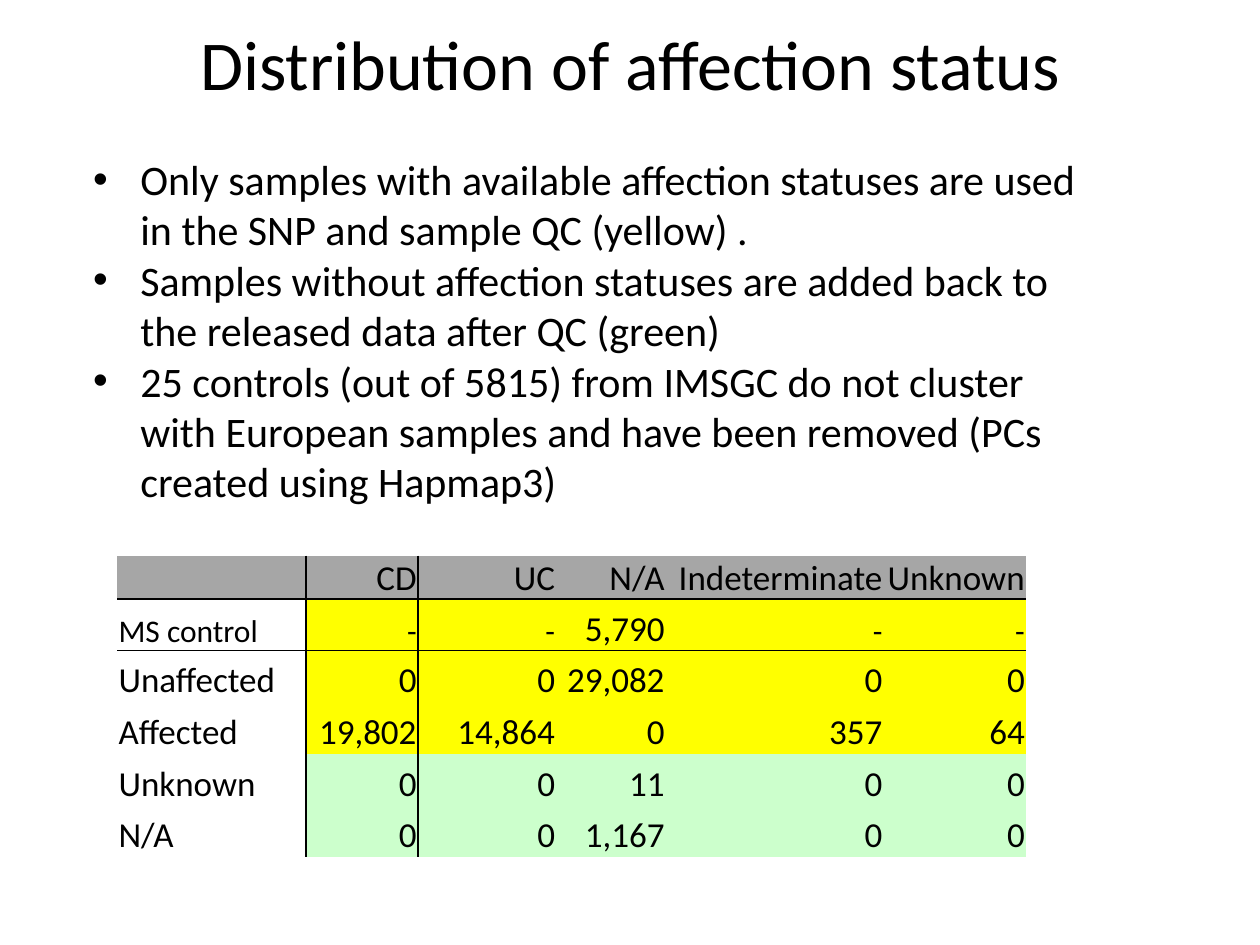
from dataclasses import dataclass

from lxml.etree import SubElement
from pptx import Presentation
from pptx.dml.color import RGBColor
from pptx.enum.text import MSO_ANCHOR, MSO_AUTO_SIZE, PP_ALIGN
from pptx.oxml.ns import qn
from pptx.util import Cm, Pt

BLACK, GREY, YELLOW, GREEN = "000000", "A6A6A6", "FFFF00", "CCFFCC"
NO_GRID = "{2D5ABB26-0587-4C30-8999-92F81FD0307C}"
WIDTHS = (3.81, 2.26, 2.79, 2.21, 4.39, 2.87)
HEAD, LINE = 0.81, 1.04
INDENT = Cm(0.95)


@dataclass
class Row:
    cells: tuple[str, ...]
    fill: str
    label_fill: str | None = None
    small: tuple[int, ...] = ()


ROWS = (
    Row(("", "CD", "UC", "N/A", "Indeterminate", "Unknown"), GREY, GREY),
    Row(("MS control", "-", "-", "5,790", "-", "-"), YELLOW, small=(0, 1, 2, 4, 5)),
    Row(("Unaffected", "0", "0", "29,082", "0", "0"), YELLOW),
    Row(("Affected", "19,802", "14,864", "0", "357", "64"), YELLOW),
    Row(("Unknown", "0", "0", "11", "0", "0"), GREEN),
    Row(("N/A", "0", "0", "1,167", "0", "0"), GREEN),
)
POINTS = (
    "Only samples with available affection statuses are used in the SNP and sample QC (yellow) .",
    "Samples without affection statuses are added back to the released data after QC (green)",
    "25 controls (out of 5815) from IMSGC do not cluster with European samples "
    "and have been removed (PCs created using Hapmap3)",
)


def color(code: str) -> RGBColor:
    return RGBColor.from_string(code)


def style(para, size: float, align=PP_ALIGN.LEFT) -> None:
    para.alignment = align
    para.font.name = "Calibri"
    para.font.size = Pt(size)
    para.font.color.rgb = color(BLACK)


def add_title(slide, text: str) -> None:
    box = slide.shapes.add_textbox(Cm(1.27), Cm(-0.33), Cm(22.86), Cm(3.18))
    frame = box.text_frame
    frame.word_wrap = True
    frame.vertical_anchor = MSO_ANCHOR.MIDDLE
    frame.text = text
    style(frame.paragraphs[0], 40, PP_ALIGN.CENTER)


def add_points(slide, points: tuple[str, ...]) -> None:
    box = slide.shapes.add_textbox(Cm(1.63), Cm(2.97), Cm(20.88), Cm(7.44))
    frame = box.text_frame
    frame.word_wrap = True
    frame.auto_size = MSO_AUTO_SIZE.SHAPE_TO_FIT_TEXT
    frame.text = "\n".join(points)
    for para in frame.paragraphs:
        props = para._p.get_or_add_pPr()
        props.set("marL", str(INDENT))
        props.set("indent", str(-INDENT))
        SubElement(props, qn("a:buFont"), typeface="Arial")
        SubElement(props, qn("a:buChar"), char="•")
        style(para, 24)


def add_edge(cell, side: str) -> None:
    """Rule one side of a cell; call before filling it, as edges come first."""
    props = cell._tc.get_or_add_tcPr()
    edge = SubElement(props, qn(f"a:ln{side}"), w=str(Pt(1)))
    fill = SubElement(edge, qn("a:solidFill"))
    SubElement(fill, qn("a:srgbClr"), val=BLACK)


def fill_cell(cell, text: str, fill: str | None, size: float, align) -> None:
    cell.margin_left = cell.margin_right = cell.margin_top = Cm(0.03)
    cell.margin_bottom = 0
    cell.vertical_anchor = MSO_ANCHOR.BOTTOM
    cell.text = text
    style(cell.text_frame.paragraphs[0], size, align)
    if fill:
        cell.fill.solid()
        cell.fill.fore_color.rgb = color(fill)
    else:
        cell.fill.background()


def add_counts(slide, rows: tuple[Row, ...]) -> None:
    high = HEAD + LINE * (len(rows) - 1)
    frame = slide.shapes.add_table(
        len(rows), len(WIDTHS), Cm(2.36), Cm(11.2), Cm(sum(WIDTHS)), Cm(high)
    )
    table = frame.table
    table.first_row = table.horz_banding = False
    table._tbl.tblPr.find(qn("a:tableStyleId")).text = NO_GRID
    for col, width in zip(table.columns, WIDTHS):
        col.width = Cm(width)
    for r, row in enumerate(rows):
        table.rows[r].height = Cm(LINE if r else HEAD)
        for c, text in enumerate(row.cells):
            cell = table.cell(r, c)
            if c < 2:
                add_edge(cell, "R")
            if r < 2:
                add_edge(cell, "B")
            fill = row.fill if c else row.label_fill
            size = 18 if c in row.small else 20
            fill_cell(cell, text, fill, size, PP_ALIGN.RIGHT if c else PP_ALIGN.LEFT)


def main() -> None:
    deck = Presentation()
    deck.slide_width, deck.slide_height = Cm(25.4), Cm(19.05)
    slide = deck.slides.add_slide(deck.slide_layouts[6])
    add_title(slide, "Distribution of affection status")
    add_counts(slide, ROWS)
    add_points(slide, POINTS)
    deck.save("out.pptx")


if __name__ == "__main__":
    main()
